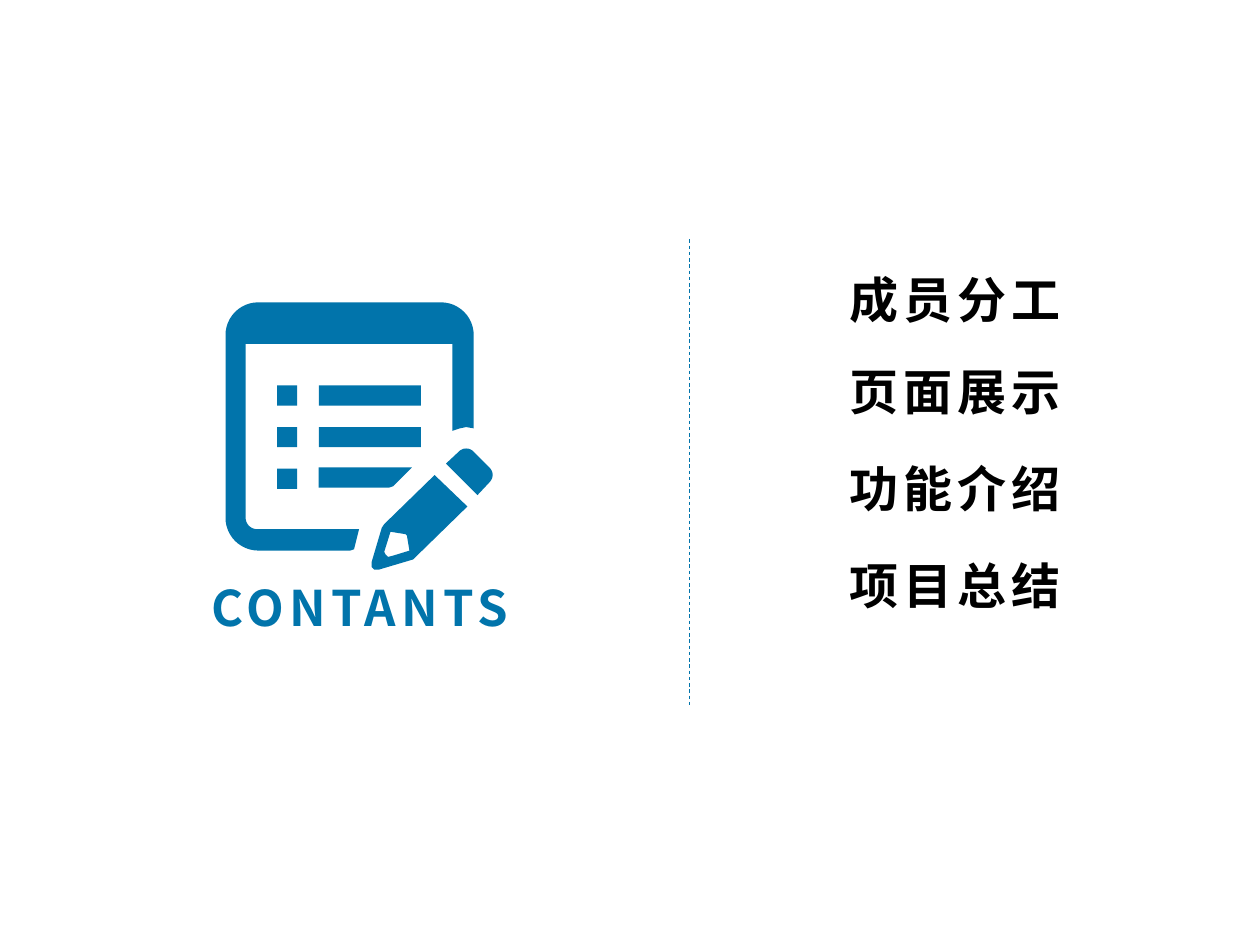
from dataclasses import dataclass
from math import cos, radians, sin

from lxml.etree import SubElement
from pptx import Presentation
from pptx.dml.color import RGBColor
from pptx.enum.dml import MSO_LINE
from pptx.enum.shapes import MSO_CONNECTOR, MSO_SHAPE
from pptx.enum.text import MSO_ANCHOR, MSO_AUTO_SIZE, PP_ALIGN
from pptx.oxml.ns import qn
from pptx.util import Inches, Pt


@dataclass(frozen=True)
class Theme:
    blue: RGBColor = RGBColor(0x01, 0x74, 0xAB)
    black: RGBColor = RGBColor(0, 0, 0)
    font: str = "Noto Sans CJK SC"
    size: Pt = Pt(28)
    track: int = 300
    rule: Pt = Pt(0.5)


THEME = Theme()
TOPICS = [("成员分工", 2.09), ("页面展示", 2.82), ("功能介绍", 3.59), ("项目总结", 4.36)]


def assign(item, values):
    for name, value in values.items():
        setattr(item, name, value)


def place(shape, left, top, width, height):
    assign(shape, {
        "left": Inches(left), "top": Inches(top),
        "width": Inches(width), "height": Inches(height),
    })


def write(shape, text, color, align):
    frame = shape.text_frame
    assign(frame, {
        "word_wrap": True,
        "auto_size": MSO_AUTO_SIZE.SHAPE_TO_FIT_TEXT,
        "vertical_anchor": MSO_ANCHOR.TOP,
    })
    line = frame.paragraphs[0]
    line.alignment = align
    run = line.add_run()
    run.text = text
    assign(run.font, {"name": THEME.font, "size": THEME.size, "bold": True})
    run.font.color.rgb = color
    props = run.font._element
    props.set("spc", str(THEME.track))
    SubElement(props, qn("a:ea")).set("typeface", THEME.font)


def add_topic(slide, text, top):
    box = slide.shapes.add_textbox(0, 0, 0, 0)
    place(box, 6.64, top, 1.96, 0.57)
    write(box, text, THEME.black, PP_ALIGN.LEFT)


def add_rule(slide):
    rule = slide.shapes.add_connector(
        MSO_CONNECTOR.STRAIGHT, Inches(5.47), Inches(1.9), Inches(5.47), Inches(5.6))
    rule.line.color.rgb = THEME.blue
    assign(rule.line, {"width": THEME.rule, "dash_style": MSO_LINE.DASH})
    SubElement(rule._element.spPr, qn("a:effectLst"))


def paint(shape):
    shape.shadow.inherit = False
    shape.fill.solid()
    shape.fill.fore_color.rgb = THEME.blue
    shape.line.fill.background()


def add_bar(group, left, top, width):
    bar = group.shapes.add_shape(
        MSO_SHAPE.RECTANGLE, Inches(left), Inches(top), Inches(width), Inches(0.16))
    paint(bar)


def add_form(group, *loops):
    """Fill the first loop; any further loops are holes in it."""
    first, *holes = [[(Inches(x), Inches(y)) for x, y in loop] for loop in loops]
    pen = group.shapes.build_freeform(*first[0], scale=1.0)
    pen.add_line_segments(first[1:])
    for hole in holes:
        pen.move_to(*hole[0])
        pen.add_line_segments(hole[1:])
    paint(pen.convert_to_shape())


def arc(x, y, radius, start, end, steps=12):
    """Points on a circle, with angles in degrees, clockwise from the right."""
    turns = [radians(start + (end - start) * i / steps) for i in range(steps + 1)]
    return [(x + radius * cos(t), y + radius * sin(t)) for t in turns]


def add_pad(group):
    add_form(group, [
        (2.85, 4.2), (2.81, 4.36), (2.78, 4.37),
        *arc(2.05, 4.11, 0.26, 90, 180),
        *arc(2.05, 2.66, 0.26, 180, 270),
        *arc(3.5, 2.66, 0.26, 270, 360),
        (3.76, 3.4), (3.7, 3.39), (3.65, 3.4), (3.59, 3.42),
        (3.59, 2.73), (1.95, 2.73),
        *arc(2.04, 4.11, 0.09, 180, 90),
    ])
    for row in range(3):
        top = 3.06 + 0.33 * row
        add_bar(group, 2.2, top, 0.16)
        if row < 2:
            add_bar(group, 2.53, top, 0.81)
    add_form(group, [(2.53, 3.71), (3.27, 3.71), (3.12, 3.86), (3.09, 3.87), (2.53, 3.87)])


def add_pencil(group):
    body = [
        (3.45, 3.77), (3.71, 4.02), (3.31, 4.41), (3.28, 4.44), (3.01, 4.52),
        (2.97, 4.52), (2.95, 4.5), (2.95, 4.46), (3.03, 4.19), (3.05, 4.16),
    ]
    tip = [
        (3.1, 4.22), (3.05, 4.38), (3.06, 4.4), (3.08, 4.42), (3.12, 4.41),
        (3.25, 4.37), (3.23, 4.25), (3.22, 4.24),
    ]
    add_form(group, body, tip)
    add_form(group, [
        (3.54, 3.68),
        *arc(3.7, 3.64, 0.08, 225, 315),
        *arc(3.83, 3.77, 0.08, 315, 405),
        (3.79, 3.93),
    ])


def main():
    deck = Presentation()
    assign(deck, {"slide_width": Inches(10), "slide_height": Inches(7.5)})
    slide = deck.slides.add_slide(deck.slide_layouts[5])
    title = slide.shapes.title
    place(title, 1.4, 4.53, 2.91, 0.57)
    write(title, "CONTANTS", THEME.blue, PP_ALIGN.CENTER)
    add_rule(slide)
    icon = slide.shapes.add_group_shape()
    add_pad(icon)
    add_pencil(icon)
    for text, top in TOPICS:
        add_topic(slide, text, top)
    deck.save("out.pptx")


if __name__ == "__main__":
    main()
